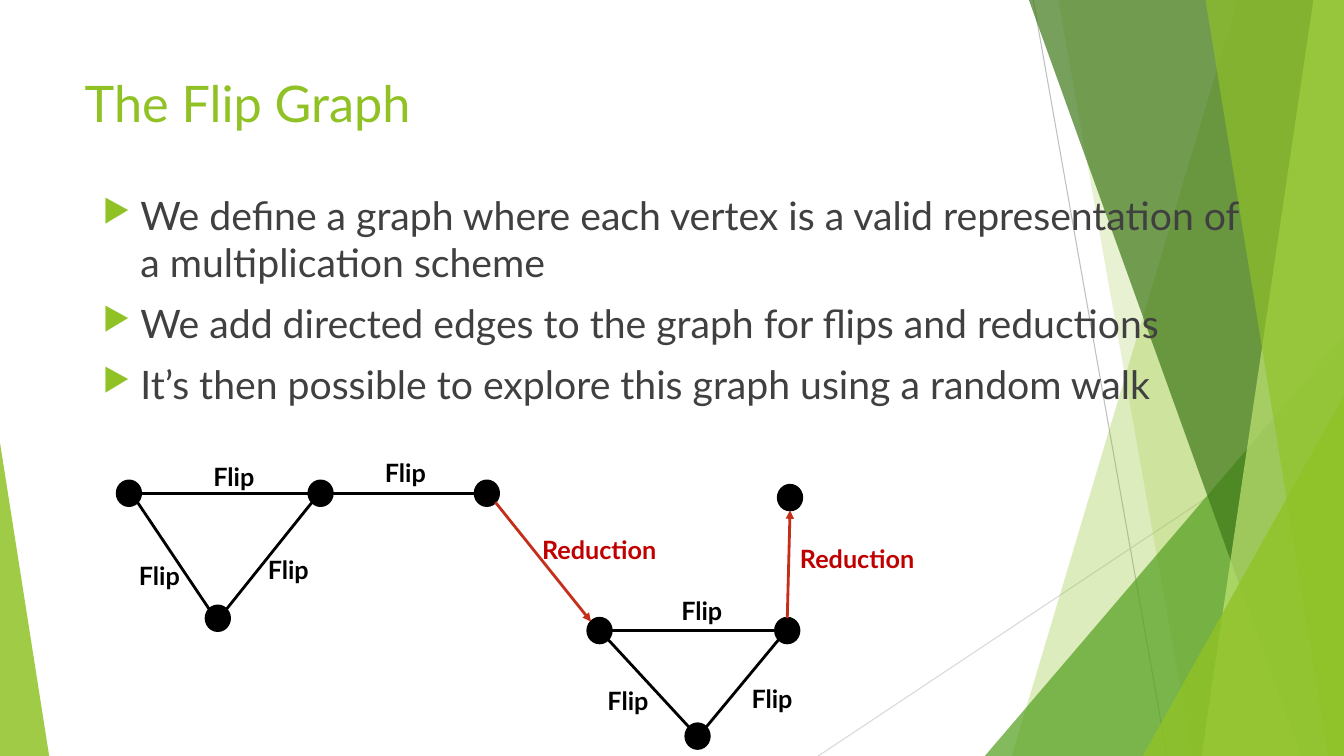
"""Build the slide that explains the flip graph."""
import dataclasses
import math

import pptx
import pptx.dml.color
import pptx.enum.shapes
import pptx.enum.text
import pptx.oxml.ns
import pptx.oxml.xmlchemy
import pptx.util

Cm = pptx.util.Cm
Pt = pptx.util.Pt
Shape = pptx.enum.shapes.MSO_SHAPE
Fit = pptx.enum.text.MSO_AUTO_SIZE
Top = pptx.enum.text.MSO_ANCHOR.TOP
Left = pptx.enum.text.PP_ALIGN.LEFT
rgb = pptx.dml.color.RGBColor.from_string
qn = pptx.oxml.ns.qn
make = pptx.oxml.xmlchemy.OxmlElement


@dataclasses.dataclass(frozen=True)
class Theme:
    font: str = "Lato"
    green: str = "90C226"
    leaf: str = "54A021"
    dark: str = "3F7819"
    pale: str = "C0E474"
    gray: str = "BFBFBF"
    mist: str = "D9D9D9"
    text: str = "404040"
    black: str = "000000"
    red: str = "C00000"
    rust: str = "C42F1A"
    title: int = 36
    body: int = 28
    label: int = 18


theme = Theme()
wide, high = 33.87, 19.05
deck = pptx.Presentation()
deck.slide_width, deck.slide_height = Cm(wide), Cm(high)
slide = deck.slides.add_slide(deck.slide_layouts[5])
shapes = slide.shapes


def write(para, text, size, color, bold=False):
    run = para.add_run()
    run.text = text
    run.font.name = theme.font
    run.font.size = Pt(size)
    run.font.bold = bold
    run.font.color.rgb = rgb(color)


def link(start, end, color, width, arrow=False):
    kind = pptx.enum.shapes.MSO_CONNECTOR.STRAIGHT
    line = shapes.add_connector(kind, *map(Cm, start + end))
    line.line.color.rgb = rgb(color)
    line.line.width = Pt(width)
    props = line.element.spPr
    if arrow:
        head = make("a:tailEnd")
        head.set("type", "triangle")
        props.find(qn("a:ln")).append(head)
    props.append(make("a:effectLst"))


link((26.04, 0), (29.41, high), theme.gray, 0.75)
link((wide, 10.24), (20.62, high), theme.mist, 0.75)

facets = [
    ("band", (31.19, 25.5), theme.green, 30),
    ("band", (26.67, 30.05), theme.green, 20),
    ("wedge", (24.82, 8.46, 9.05, 1), theme.leaf, 72),
    ("band", (25.93, 32.79), theme.dark, 70),
    ("band", (33.1, 30.28), theme.pale, 70),
    ("band", (30.38, 33.48), theme.green, 65),
    ("wedge", (28.8, 9.98, 5.07, 1), theme.green, 80),
    ("wedge", (0, 11.15, 1.24, 0), theme.green, 85),
]
for kind, size, color, alpha in facets:
    if kind == "band":
        upper, lower = size
        pen = shapes.build_freeform(Cm(upper), 0)
        corners = [(wide, 0), (wide, high), (lower, high)]
        pen.add_line_segments([(Cm(x), Cm(y)) for x, y in corners])
        facet = pen.convert_to_shape()
    else:
        x, y, width, peak = size
        facet = shapes.add_shape(Shape.ISOSCELES_TRIANGLE,
                                 Cm(x), Cm(y), Cm(width), Cm(high - y))
        facet.adjustments[0] = peak
    facet.shadow.inherit = False
    facet.line.fill.background()
    facet.fill.solid()
    facet.fill.fore_color.rgb = rgb(color)
    tint = make("a:alpha")
    tint.set("val", str(alpha * 1000))
    facet.element.spPr.find(qn("a:solidFill"))[0].append(tint)

title = shapes.title
title.left, title.top, title.width, title.height = map(Cm, (1.88, 1.7, 23.88, 3.66))
title.text_frame.vertical_anchor = Top
title.text_frame.auto_size = Fit.NONE
head = title.text_frame.paragraphs[0]
head.alignment = Left
write(head, "The Flip Graph", theme.title, theme.green)

points = [
    "We define a graph where each vertex is a valid representation of a multiplication scheme",
    "We add directed edges to the graph for flips and reductions",
    "It’s then possible to explore this graph using a random walk",
]
body = shapes.add_textbox(*map(Cm, (2.34, 4.7, 29.21, 11.71))).text_frame
body.word_wrap = True
for rank, point in enumerate(points):
    para = body.add_paragraph() if rank else body.paragraphs[0]
    props = para._p.get_or_add_pPr()
    props.set("marL", str(Cm(0.95)))
    props.set("indent", str(Cm(-0.95)))
    tone = make("a:buClr")
    hue = make("a:srgbClr")
    hue.set("val", theme.green)
    tone.append(hue)
    scale = make("a:buSzPct")
    scale.set("val", "80000")
    mark = make("a:buChar")
    mark.set("char", "▶")
    props.extend([tone, scale, mark])
    para.space_before = Pt(10 if rank else 0)
    write(para, point, theme.body, theme.text)

dot_w, dot_h = 0.61, 0.64
nodes = {
    "A": (3.25, 12.43), "B": (8.08, 12.43), "C": (5.49, 15.58), "D": (12.27, 12.43),
    "E": (15.11, 15.89), "F": (19.84, 15.89), "G": (17.58, 18.55), "H": (19.91, 12.54),
}
for x, y in nodes.values():
    dot = shapes.add_shape(Shape.OVAL, Cm(x - dot_w / 2), Cm(y - dot_h / 2),
                           Cm(dot_w), Cm(dot_h))
    dot.shadow.inherit = False
    dot.fill.solid()
    dot.fill.fore_color.rgb = rgb(theme.black)
    dot.line.color.rgb = rgb(theme.black)
    dot.line.width = Pt(1.5)

edges = [
    ("A", 0, "B", 180, False), ("C", 45, "B", 225, False), ("C", 135, "A", 315, False),
    ("D", 180, "B", 0, False), ("D", 315, "E", 135, True), ("E", 0, "F", 180, False),
    ("E", 315, "G", 135, False), ("F", 225, "G", 45, False), ("F", 90, "H", 270, True),
]
for tail, out, tip, into, reduce in edges:
    ends = []
    for name, angle in ((tail, out), (tip, into)):
        x, y = nodes[name]
        turn = math.radians(angle)
        ends.append((x + dot_w / 2 * math.cos(turn), y - dot_h / 2 * math.sin(turn)))
    link(*ends, theme.rust if reduce else theme.black, 2, reduce)

labels = {
    ("Flip", 1.65, theme.black): [
        (6.5, 13.84), (9.45, 11.4), (5.13, 11.51), (3.25, 14),
        (16.92, 14.88), (18.69, 17.09), (15.06, 17.15)],
    ("Reduction", 3.53, theme.red): [(13.41, 13.34), (19.91, 13.56)],
}
for (text, width, color), spots in labels.items():
    for x, y in spots:
        frame = shapes.add_textbox(Cm(x), Cm(y), Cm(width), Cm(1.02)).text_frame
        frame.word_wrap = False
        frame.auto_size = Fit.SHAPE_TO_FIT_TEXT
        write(frame.paragraphs[0], text, theme.label, color, True)

deck.save("out.pptx")
